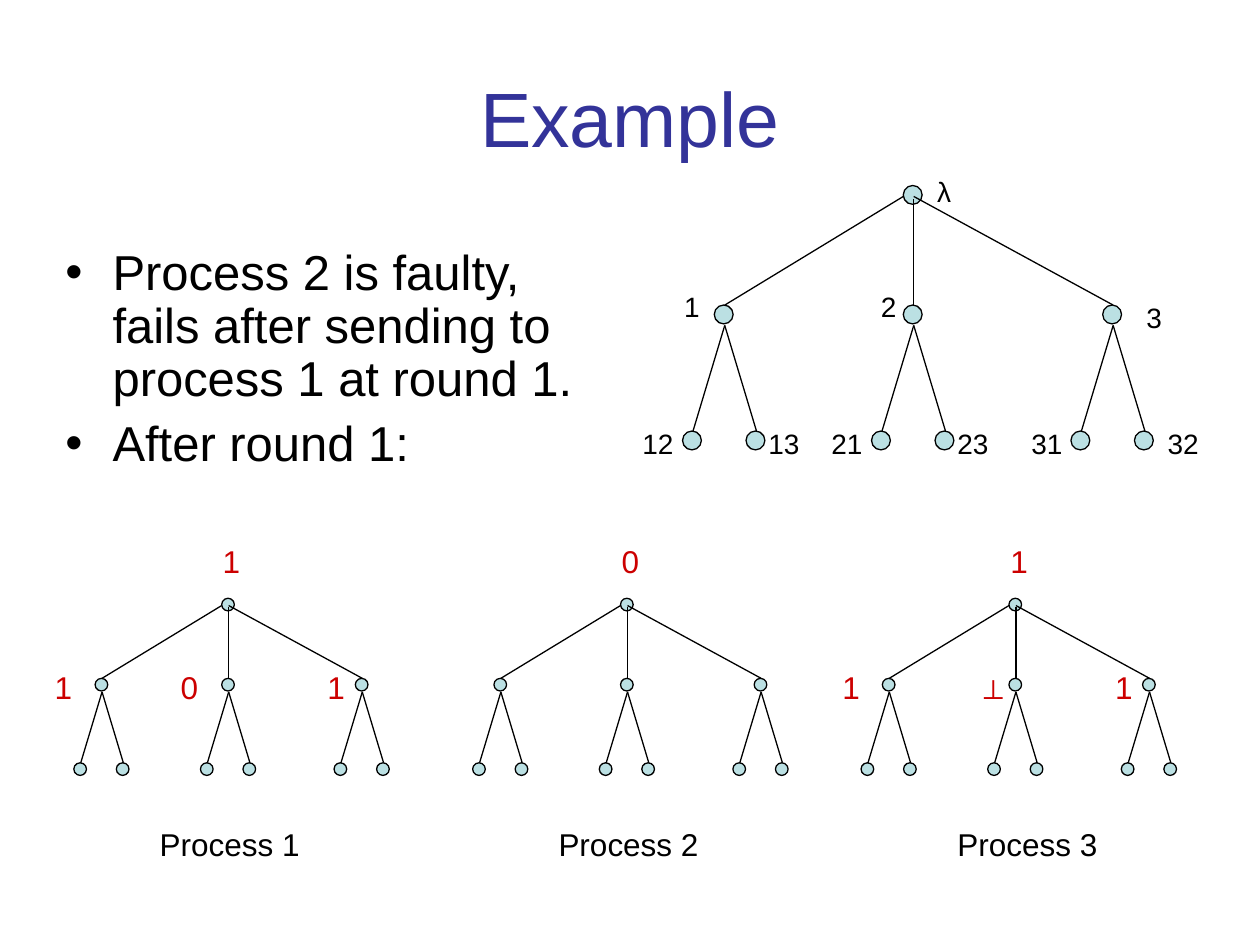
from dataclasses import dataclass

from lxml import etree
from pptx import Presentation
from pptx.dml.color import RGBColor
from pptx.enum.shapes import MSO_CONNECTOR, MSO_SHAPE
from pptx.enum.text import MSO_ANCHOR, PP_ALIGN
from pptx.oxml.ns import qn
from pptx.util import Cm, Pt

STRAIGHT = MSO_CONNECTOR.STRAIGHT
OVAL = MSO_SHAPE.OVAL
TOP, MIDDLE = MSO_ANCHOR.TOP, MSO_ANCHOR.MIDDLE
LEFT, CENTER = PP_ALIGN.LEFT, PP_ALIGN.CENTER

COLORS = {
    "title": "333399",
    "text": "000000",
    "value": "CC0000",
    "node": "BBE0E3",
    "edge": "000000",
}

BRANCHES = (-3.81, 0, 4.02)
LEAF_SPREAD = 0.64
NODE_SIZE = 0.38
NODE_INSET = 0.21
CHILD_DROP = 2.41
CHILD_FOOT = 2.82
LEAF_DROP = 4.95
ROOT_SIDE = 0.22
ROOT_FOOT = 0.27


@dataclass
class Tree:
    x: float
    top: float
    scale: float = 1


@dataclass
class Label:
    text: str
    x: float
    y: float
    width: float = 0.82


PATH_TREE = Tree(18.42, 3.74)
PROCESS_TREES = [Tree(x, 12.06, 0.67) for x in (4.61, 12.65, 20.48)]

PATH_LABELS = [
    Label("λ", 18.64, 3.39),
    Label("1", 13.54, 5.72),
    Label("2", 17.51, 5.72),
    Label("3", 22.86, 5.93),
    *[
        Label(path, x, 8.47, 1.25)
        for path, x in (
            ("12", 12.7), ("13", 15.24), ("21", 16.51),
            ("23", 19.05), ("31", 20.54), ("32", 23.29),
        )
    ],
]

ROOT_VALUES = [
    Label(value, x, 10.8, 0.86)
    for value, x in (("1", 4.24), ("0", 12.28), ("1", 20.12))
]
ROUND_VALUES = [
    Label(value, x, 13.34, 0.94)
    for value, x in (
        ("1", 0.85), ("0", 3.39), ("1", 6.35),
        ("1", 16.73), ("⊥", 19.46), ("1", 22.23),
    )
]
PROCESS_NAMES = [
    Label(f"Process {number}", x, 16.51, 3.33)
    for number, x in enumerate((2.97, 11.01, 19.05), start=1)
]


def add_bullet(paragraph) -> None:
    properties = paragraph._p.get_or_add_pPr()
    properties.set("marL", str(Cm(0.95)))
    properties.set("indent", str(-Cm(0.95)))
    etree.SubElement(properties, qn("a:buFont")).set("typeface", "Arial")
    etree.SubElement(properties, qn("a:buChar")).set("char", "•")


def add_text(
    slide, text: str, x: float, y: float, width: float, height: float, *,
    size: int, color: str = "text", align=LEFT, anchor=TOP,
    wrap: bool = False, bullets: bool = False, line_spacing: float = 1,
    gap: float = 0,
) -> None:
    frame = slide.shapes.add_textbox(
        Cm(x), Cm(y), Cm(width), Cm(height)
    ).text_frame
    frame.word_wrap = wrap
    frame.vertical_anchor = anchor
    frame.text = text
    for index, paragraph in enumerate(frame.paragraphs):
        if bullets:
            add_bullet(paragraph)
        paragraph.alignment = align
        paragraph.line_spacing = line_spacing
        if index:
            paragraph.space_before = Pt(gap)
        for run in paragraph.runs:
            run.font.name = "Arial"
            run.font.size = Pt(size)
            run.font.color.rgb = RGBColor.from_string(COLORS[color])


def add_labels(
    slide, labels: list[Label], size: int, color: str = "text"
) -> None:
    for label in labels:
        add_text(slide, label.text, label.x, label.y, label.width, 1,
                 size=size, color=color)


def add_edge(
    slide, tree: Tree, x1: float, y1: float, x2: float, y2: float
) -> None:
    edge = slide.shapes.add_connector(
        STRAIGHT,
        Cm(tree.x + x1 * tree.scale), Cm(tree.top + y1 * tree.scale),
        Cm(tree.x + x2 * tree.scale), Cm(tree.top + y2 * tree.scale),
    )
    edge.line.color.rgb = RGBColor.from_string(COLORS["edge"])
    edge.line.width = Pt(0.75)
    etree.SubElement(edge._element.spPr, qn("a:effectLst"))


def add_node(slide, tree: Tree, x: float, drop: float) -> None:
    diameter = Cm(NODE_SIZE * tree.scale)
    node = slide.shapes.add_shape(
        OVAL,
        Cm(tree.x + (x - NODE_INSET) * tree.scale),
        Cm(tree.top + drop * tree.scale),
        diameter, diameter,
    )
    node.shadow.inherit = False
    node.fill.solid()
    node.fill.fore_color.rgb = RGBColor.from_string(COLORS["node"])
    node.line.color.rgb = RGBColor.from_string(COLORS["edge"])
    node.line.width = Pt(0.75)


def add_tree(slide, tree: Tree) -> None:
    add_node(slide, tree, 0, 0)
    root_ends = ((-NODE_INSET, ROOT_SIDE), (0, ROOT_FOOT), (0, ROOT_SIDE))
    for branch, (root_x, root_y) in zip(BRANCHES, root_ends):
        add_edge(slide, tree, branch, CHILD_DROP, root_x, root_y)
    for branch in BRANCHES:
        leaves = (branch - LEAF_SPREAD, branch + LEAF_SPREAD)
        for leaf in leaves:
            add_edge(slide, tree, leaf, LEAF_DROP, branch, CHILD_FOOT)
        add_node(slide, tree, branch, CHILD_DROP)
        for leaf in leaves:
            add_node(slide, tree, leaf, LEAF_DROP)


def main() -> None:
    presentation = Presentation()
    presentation.slide_width = Cm(25.4)
    presentation.slide_height = Cm(19.05)
    slide = presentation.slides.add_slide(presentation.slide_layouts[6])

    for tree in (*PROCESS_TREES, PATH_TREE):
        add_tree(slide, tree)
    add_text(slide, "Example", 1.27, 0.76, 22.86, 3.18, size=44,
             color="title", align=CENTER, anchor=MIDDLE, wrap=True)
    add_text(
        slide,
        "Process 2 is faulty, fails after sending to process 1 at round 1.\n"
        "After round 1:",
        1.07, 4.88, 11.43, 5.08, size=28, wrap=True, bullets=True,
        line_spacing=0.9, gap=7,
    )
    add_labels(slide, PATH_LABELS, 16)
    add_labels(slide, PROCESS_NAMES, 18)
    add_labels(slide, ROOT_VALUES + ROUND_VALUES, 18, "value")

    presentation.save("out.pptx")


if __name__ == "__main__":
    main()
